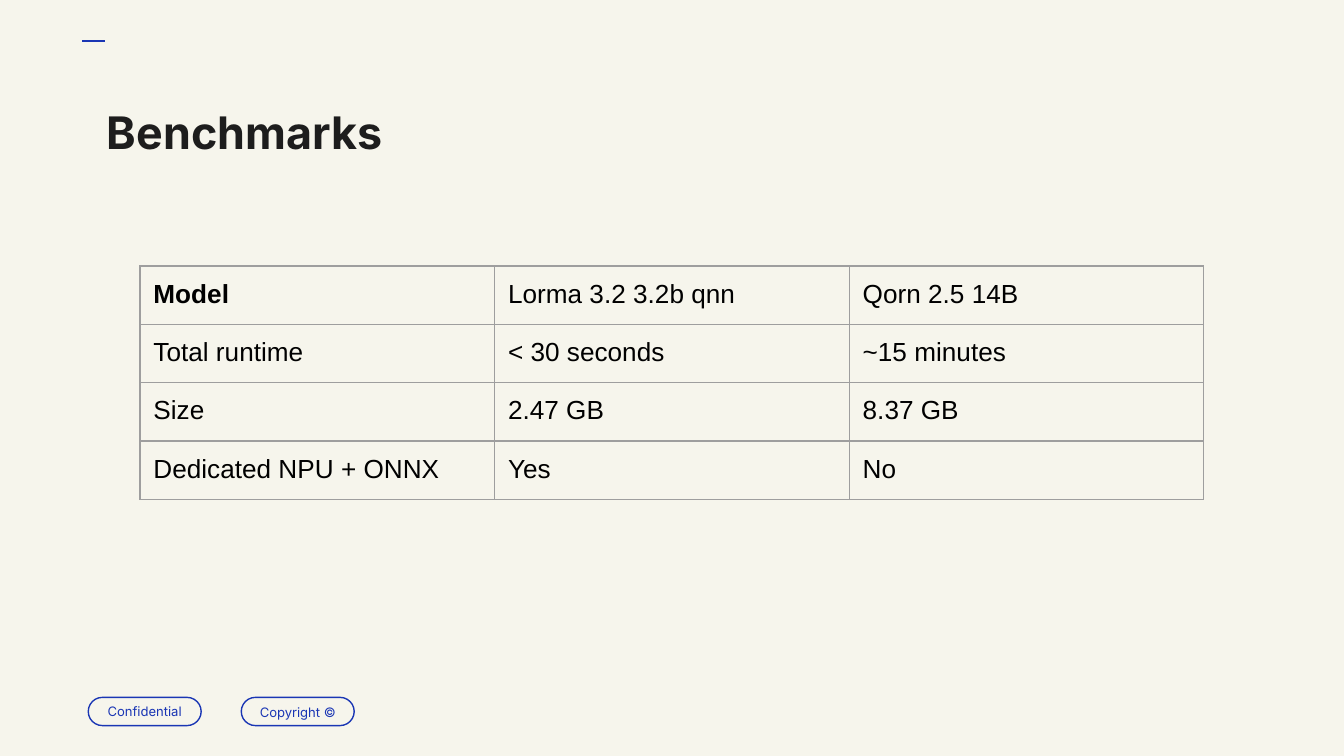
from dataclasses import dataclass

from lxml import etree
from pptx import Presentation
from pptx.dml.color import RGBColor
from pptx.enum import shapes, text
from pptx.oxml import ns
from pptx.util import Pt

BLUE, INK, BLACK = "1A36B4", "1D1D1D", "000000"
GRID, CREAM = "9E9E9E", "F6F5EC"
INSET = 7.2


@dataclass
class Badge:
    label: str
    left: float
    spacing: float


BADGES = [Badge("Confidential", 47.3, 1.0), Badge("Copyright ©", 129.3, 1.15)]
BENCHMARKS = [
    ("Model", "Lorma 3.2 3.2b qnn", "Qorn 2.5 14B"),
    ("Total runtime", "< 30 seconds", "~15 minutes"),
    ("Size", "2.47 GB", "8.37 GB"),
    ("Dedicated NPU + ONNX", "Yes", "No"),
]


def color(value: str) -> RGBColor:
    return RGBColor.from_string(value)


def add_run(paragraph, words: str, size: float, font: str, ink: str, bold=False) -> None:
    run = paragraph.add_run()
    run.text = words
    run.font.size = Pt(size)
    run.font.name = font
    run.font.bold = bold
    run.font.color.rgb = color(ink)


def set_insets(box) -> None:
    """Give a text frame or a table cell the common inset."""
    box.margin_left = box.margin_right = Pt(INSET)
    box.margin_top = box.margin_bottom = Pt(INSET)


def draw_badge(slide, badge: Badge) -> None:
    pill = slide.shapes.add_shape(
        shapes.MSO_SHAPE.ROUNDED_RECTANGLE, Pt(badge.left), Pt(373.6), Pt(60.5), Pt(15.1))
    pill.adjustments[0] = 0.5
    pill.shadow.inherit = False
    pill.fill.background()
    pill.line.color.rgb = color(BLUE)
    pill.line.width = Pt(0.75)
    frame = pill.text_frame
    set_insets(frame)
    frame.word_wrap = True
    frame.vertical_anchor = text.MSO_ANCHOR.MIDDLE
    paragraph = frame.paragraphs[0]
    paragraph.alignment = text.PP_ALIGN.CENTER
    paragraph.line_spacing = badge.spacing
    add_run(paragraph, badge.label, 7, "Inter", BLUE)


def draw_borders(cell) -> None:
    properties = cell._tc.get_or_add_tcPr()
    for position, side in enumerate(("a:lnL", "a:lnR", "a:lnT", "a:lnB")):
        border = etree.Element(ns.qn(side), w=str(Pt(0.75)))
        fill = etree.SubElement(border, ns.qn("a:solidFill"))
        etree.SubElement(fill, ns.qn("a:srgbClr"), val=GRID)
        properties.insert(position, border)


def draw_table(slide, rows: list) -> None:
    column_width, row_height = 190, 30
    columns = len(rows[0])
    table = slide.shapes.add_table(
        len(rows), columns, Pt(75), Pt(142.5),
        Pt(column_width * columns), Pt(row_height * len(rows))).table
    table.first_row = table.horz_banding = False
    for r, row in enumerate(rows):
        for c, words in enumerate(row):
            cell = table.cell(r, c)
            set_insets(cell)
            cell.fill.background()
            draw_borders(cell)
            add_run(cell.text_frame.paragraphs[0], words, 14, "Arial", BLACK, r == c == 0)


def main() -> None:
    deck = Presentation()
    deck.slide_width, deck.slide_height = Pt(720), Pt(405)
    slide = deck.slides.add_slide(deck.slide_layouts[6])
    slide.background.fill.solid()
    slide.background.fill.fore_color.rgb = color(CREAM)

    # Accent dash
    dash = slide.shapes.add_connector(
        shapes.MSO_CONNECTOR.STRAIGHT, Pt(56), Pt(22), Pt(44), Pt(22))
    dash.line.color.rgb = color(BLUE)
    dash.line.width = Pt(0.75)
    etree.SubElement(dash._element.spPr, ns.qn("a:effectLst"))

    # Footer badges
    for badge in BADGES:
        draw_badge(slide, badge)

    # Title
    title = slide.shapes.add_textbox(Pt(50.2), Pt(49), Pt(605), Pt(209.5)).text_frame
    title.word_wrap = True
    set_insets(title)
    add_run(title.paragraphs[0], "Benchmarks", 24, "Inter", INK, True)

    # Benchmark table
    draw_table(slide, BENCHMARKS)

    deck.save("out.pptx")


if __name__ == "__main__":
    main()
